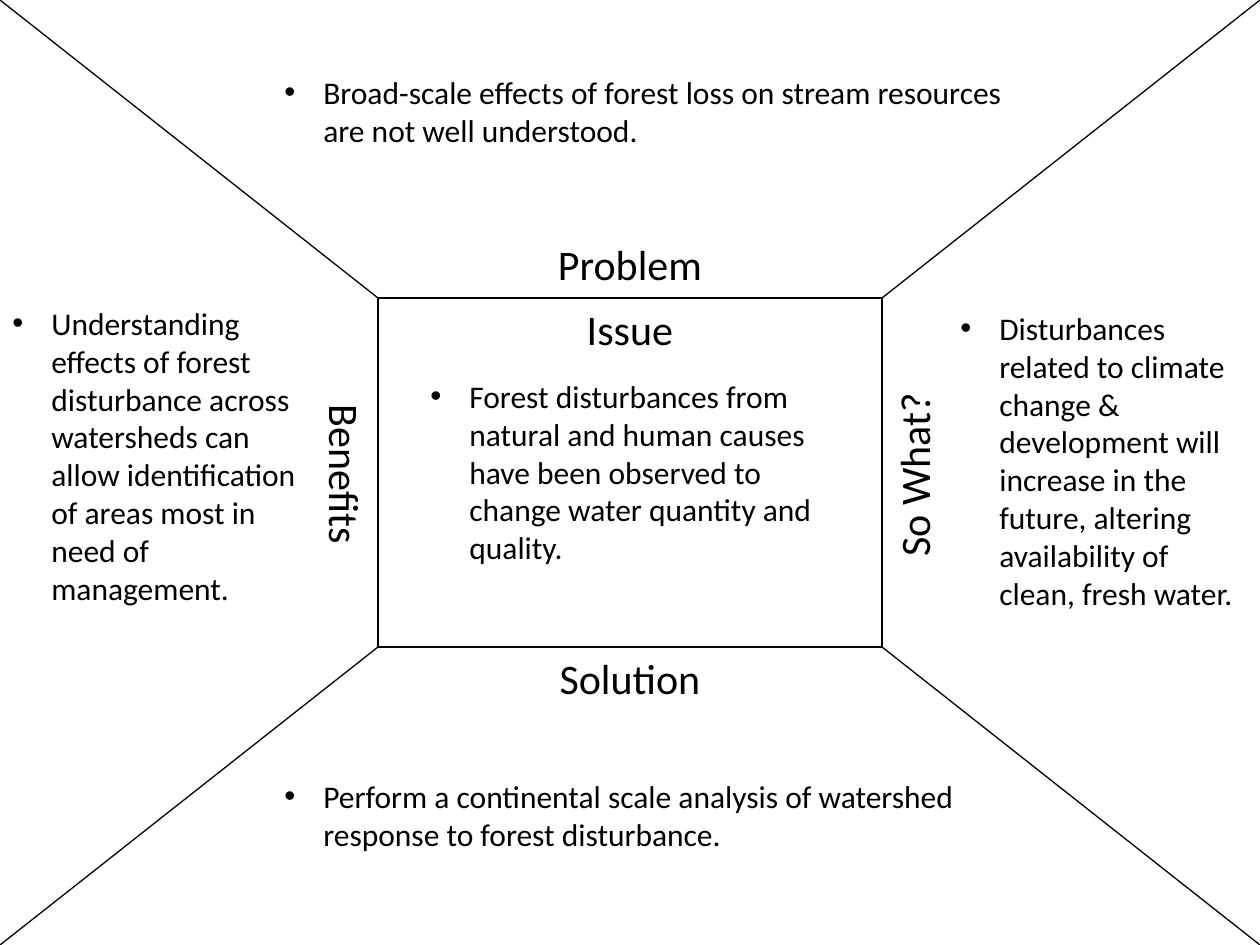
import pptx
import pptx.util
import pptx.dml.color
import pptx.enum.shapes
import pptx.enum.text
import lxml.etree

PX = 914400 / 126
WIDE, HIGH = 1260, 945
INK = {"text": "000000", "line": "000000"}


def emu(*vals):
    """Turn px lengths into EMU."""
    return [round(v * PX) for v in vals]


def write(text, box, size=18, turn=0, bullet=False, top=6):
    shape = slide.shapes.add_textbox(*emu(*box))
    shape.rotation = turn
    frame = shape.text_frame
    frame.word_wrap = True
    frame.margin_top = emu(top)[0]
    para = frame.paragraphs[0]
    run = para.add_run()
    run.text = text
    run.font.name = "Calibri"
    run.font.size = pptx.util.Pt(size)
    run.font.color.rgb = pptx.dml.color.RGBColor.from_string(INK["text"])
    if not bullet:
        para.alignment = pptx.enum.text.PP_ALIGN.CENTER
        return
    props = para._p.get_or_add_pPr()
    hang = emu(39)[0]
    props.set("marL", str(hang))
    props.set("indent", str(-hang))
    space = pptx.oxml.ns.qn
    lxml.etree.SubElement(props, space("a:buFont")).set("typeface", "Arial")
    lxml.etree.SubElement(props, space("a:buChar")).set("char", "•")


deck = pptx.Presentation()
deck.slide_width, deck.slide_height = emu(WIDE, HIGH)
slide = deck.slides.add_slide(deck.slide_layouts[6])
black = pptx.dml.color.RGBColor.from_string(INK["line"])

# Centre box, with a line from each of its corners to the slide's corner
left, top, width, height = 378, 298, 504, 349
right, low = left + width, top + height
frame = slide.shapes.add_shape(
    pptx.enum.shapes.MSO_SHAPE.RECTANGLE, *emu(left, top, width, height))
frame.shadow.inherit = False
frame.fill.background()
edges = [frame]
for ends in [(right, top, WIDE, 0), (right, low, WIDE, HIGH),
             (left, low, 0, HIGH), (left, top, 0, 0)]:
    edge = slide.shapes.add_connector(
        pptx.enum.shapes.MSO_CONNECTOR.STRAIGHT, *emu(*ends))
    lxml.etree.SubElement(edge._element.spPr, pptx.oxml.ns.qn("a:effectLst"))
    edges.append(edge)
for edge in edges:
    edge.line.color.rgb = black
    edge.line.width = pptx.util.Pt(0.75)

# Headings around and inside the box
for text, box, turn in [
    ("Problem", (442, 233, 376, 63), 0),
    ("Benefits", (173, 443, 345, 63), 90),
    ("So What?", (741, 443, 345, 63), 270),
    ("Solution", (442, 647, 376, 63), 0),
    ("Issue", (442, 298, 376, 63), 0),
]:
    write(text, box, size=24, turn=turn)

# One bullet for each heading
for text, box, inset in [
    ("Forest disturbances from natural and human causes have been observed "
     "to change water quantity and quality.", (418, 371, 446, 204), 6),
    ("Perform a continental scale analysis of watershed response to forest "
     "disturbance.", (272, 741, 757, 204), 36),
    ("Understanding effects of forest disturbance across watersheds can allow "
     "identification of areas most in need of management.",
     (0, 298, 314, 357), 6),
    ("Disturbances related to climate change & development will increase in "
     "the future, altering availability of clean, fresh water.",
     (948, 303, 314, 357), 6),
    ("Broad-scale effects of forest loss on stream resources are not well "
     "understood.", (272, 29, 757, 204), 44),
]:
    write(text, box, bullet=True, top=inset)

deck.save("out.pptx")
